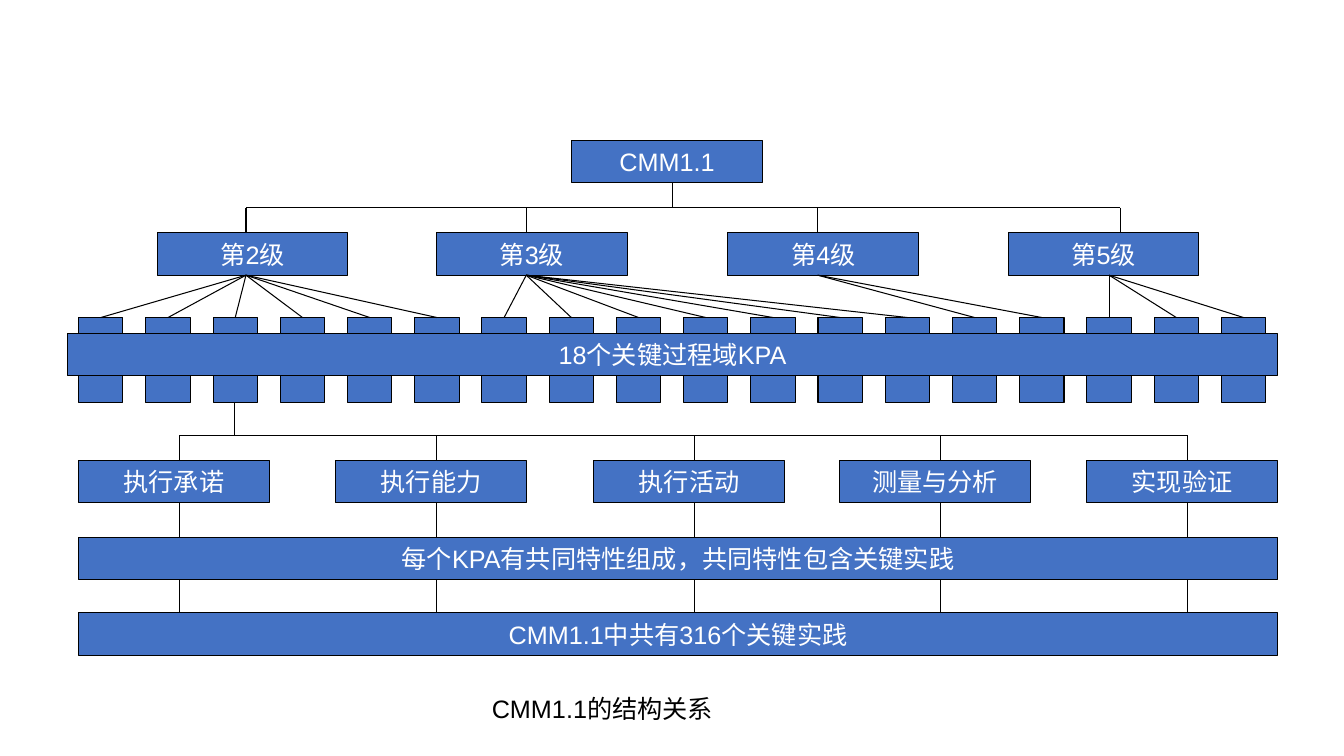
import pptx
import pptx.util
import pptx.dml.color
import pptx.enum.shapes
import pptx.enum.text
import pptx.oxml.ns
from dataclasses import dataclass
from lxml import etree
from pptx.util import Inches


@dataclass(frozen=True)
class Theme:
    fill: str = "4472C4"
    line: str = "000000"
    box_text: str = "FFFFFF"
    caption_text: str = "000000"
    font: str = "Arial"
    text_size: float = 18
    line_width: float = 0.75


THEME = Theme()
BOX_WIDTH = 1.89
BOX_HEIGHT = 0.42
BAR_LEFT = 0.78
BAR_WIDTH = 11.89
ROOT_TOP = 1.39
LEVEL_RAIL = 2.06
LEVEL_TOP = 2.31
KPA_TOP = 3.15
KPA_WIDTH = 0.44
KPA_HEIGHT = 0.84
KPA_PITCH = 2 / 3
FEATURE_RAIL = 4.32
FEATURE_TOP = 4.57
BAR_TOPS = (5.33, 6.08)

LEVELS = (
    ("第2级", 1.56, 2.44, 2.44, 6),
    ("第3级", 4.33, 5.22, 5.22, 7),
    ("第4级", 7.22, 8.11, 8.11, 2),
    ("第5级", 10, 11.11, 11, 3),
)
FEATURES = (
    ("执行承诺", 0.78, 1.78),
    ("执行能力", 3.33, 4.33),
    ("执行活动", 5.89, 6.89),
    ("测量与分析", 8.33, 9.33),
    ("实现验证", 10.78, 11.78),
)
BARS = ("每个KPA有共同特性组成，共同特性包含关键实践", "CMM1.1中共有316个关键实践")


def colour(value):
    return pptx.dml.color.RGBColor.from_string(value)


def write_text(frame, text, text_colour):
    frame.text = text
    for span in frame.paragraphs[0].runs:
        span.font.name = THEME.font
        span.font.size = pptx.util.Pt(THEME.text_size)
        span.font.color.rgb = colour(text_colour)


def style_line(line):
    line.color.rgb = colour(THEME.line)
    line.width = pptx.util.Pt(THEME.line_width)


def add_box(page, left, top, width=BOX_WIDTH, height=BOX_HEIGHT, text=""):
    box = page.shapes.add_shape(
        pptx.enum.shapes.MSO_SHAPE.RECTANGLE,
        Inches(left), Inches(top), Inches(width), Inches(height),
    )
    box.shadow.inherit = False
    box.fill.solid()
    box.fill.fore_color.rgb = colour(THEME.fill)
    style_line(box.line)
    if text:
        frame = box.text_frame
        frame.word_wrap = False
        frame.vertical_anchor = pptx.enum.text.MSO_ANCHOR.MIDDLE
        write_text(frame, text, THEME.box_text)
        frame.paragraphs[0].alignment = pptx.enum.text.PP_ALIGN.CENTER


def add_line(page, start_x, start_y, end_x, end_y):
    connector = page.shapes.add_connector(
        pptx.enum.shapes.MSO_CONNECTOR.STRAIGHT,
        Inches(start_x), Inches(start_y), Inches(end_x), Inches(end_y),
    )
    style_line(connector.line)
    properties = connector._element.spPr
    etree.SubElement(properties, pptx.oxml.ns.qn("a:effectLst"))


def add_levels(page):
    add_box(page, 5.67, ROOT_TOP, text="CMM1.1")
    add_line(page, 6.67, ROOT_TOP + BOX_HEIGHT, 6.67, LEVEL_RAIL)
    add_line(page, LEVELS[0][2], LEVEL_RAIL, LEVELS[-1][2], LEVEL_RAIL)
    level_bottom = LEVEL_TOP + BOX_HEIGHT
    kpa = 0
    for text, left, drop, fan, count in LEVELS:
        add_box(page, left, LEVEL_TOP, text=text)
        add_line(page, drop, LEVEL_RAIL, drop, LEVEL_TOP)
        for _ in range(count):
            offset = kpa * KPA_PITCH
            add_box(page, BAR_LEFT + offset, KPA_TOP, KPA_WIDTH, KPA_HEIGHT)
            add_line(page, fan, level_bottom, 1 + offset, KPA_TOP)
            kpa += 1
    add_box(page, 0.67, 3.31, 12, text="18个关键过程域KPA")


def add_features(page):
    add_line(page, 2.33, KPA_TOP + KPA_HEIGHT, 2.33, FEATURE_RAIL)
    add_line(page, FEATURES[0][2], FEATURE_RAIL, FEATURES[-1][2], FEATURE_RAIL)
    row_tops = (FEATURE_TOP, *BAR_TOPS)
    row_bottoms = (FEATURE_RAIL, *(top + BOX_HEIGHT for top in row_tops))
    for text, left, centre in FEATURES:
        add_box(page, left, FEATURE_TOP, text=text)
        for bottom, top in zip(row_bottoms, row_tops):
            add_line(page, centre, bottom, centre, top)
    for text, top in zip(BARS, BAR_TOPS):
        add_box(page, BAR_LEFT, top, BAR_WIDTH, text=text)


def add_caption(page, text):
    box = page.shapes.add_textbox(Inches(4.78), Inches(6.83), Inches(3.56), Inches(0.4))
    box.text_frame.word_wrap = True
    write_text(box.text_frame, text, THEME.caption_text)


def main():
    deck = pptx.Presentation()
    deck.slide_width = Inches(13.33)
    deck.slide_height = Inches(7.5)
    page = deck.slides.add_slide(deck.slide_layouts[6])
    add_levels(page)
    add_features(page)
    add_caption(page, "CMM1.1的结构关系")
    deck.save("out.pptx")


if __name__ == "__main__":
    main()
